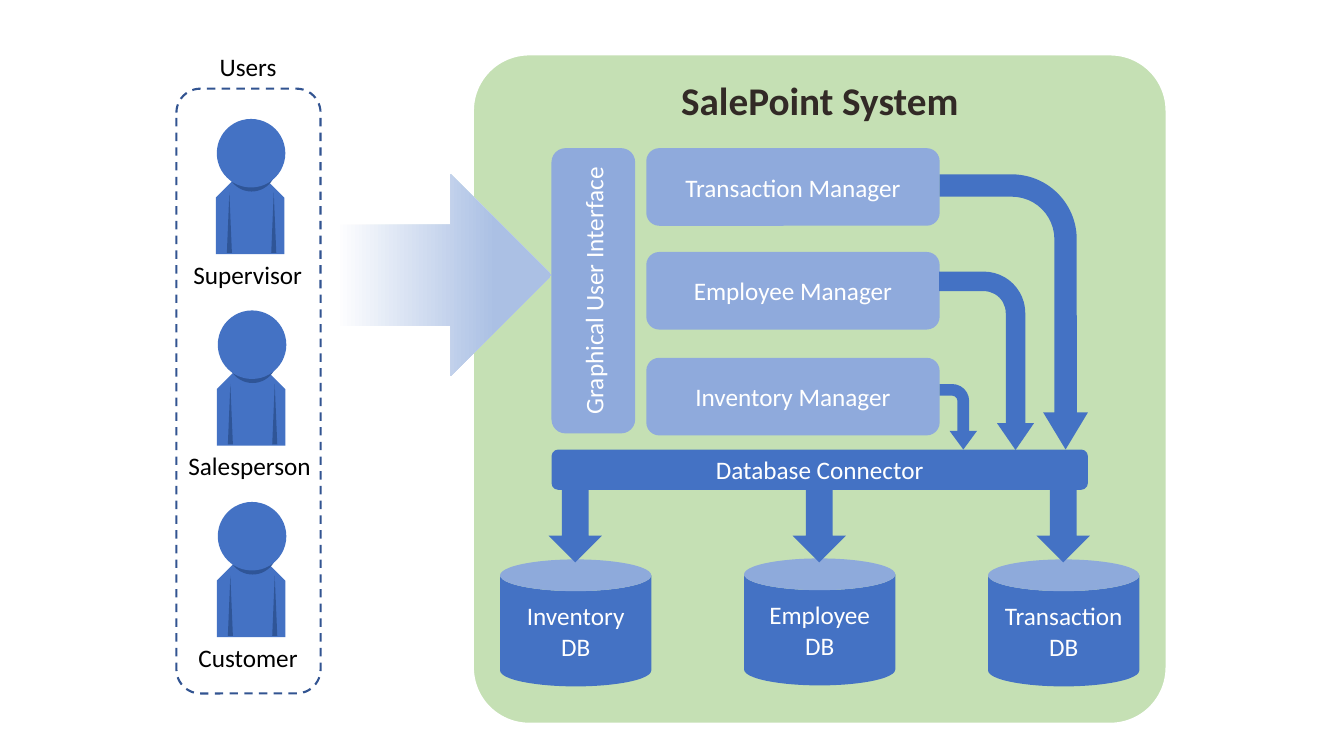
from pptx import Presentation
from pptx.dml.color import RGBColor
from pptx.enum.dml import MSO_LINE
from pptx.enum.shapes import MSO_SHAPE
from pptx.enum.text import MSO_ANCHOR, MSO_AUTO_SIZE, PP_ALIGN
from pptx.util import Pt

PX = 9144
COLORS = {
    "white": "FFFFFF", "black": "000000", "title": "322A26", "system": "C5E0B4",
    "blue": "4472C4", "dark": "2F5597", "light": "8FAADC", "dash": "325491", "pale": "ABC0E4",
}


def write(frame, lines, color, size=18, bold=False, align=PP_ALIGN.CENTER):
    for index, line in enumerate(lines):
        paragraph = frame.paragraphs[0] if index == 0 else frame.add_paragraph()
        paragraph.alignment = align
        run = paragraph.add_run()
        run.text = line
        run.font.name = "Calibri"
        run.font.size = Pt(size)
        run.font.bold = bold
        run.font.color.rgb = RGBColor.from_string(COLORS[color])


def draw(parent, kind, box, fill=None, rotation=0, adjustments=(), lines=()):
    shape = parent.shapes.add_shape(kind, *[value * PX for value in box])
    shape.shadow.inherit = False
    shape.line.fill.background()
    shape.rotation = rotation
    for index, value in enumerate(adjustments):
        shape.adjustments[index] = value
    if fill:
        shape.fill.solid()
        shape.fill.fore_color.rgb = RGBColor.from_string(COLORS[fill])
    else:
        shape.fill.background()
    shape.text_frame.vertical_anchor = MSO_ANCHOR.MIDDLE
    write(shape.text_frame, lines, "white")
    return shape


deck = Presentation()
deck.slide_width = 1333 * PX
deck.slide_height = 750 * PX
slide = deck.slides.add_slide(deck.slide_layouts[6])

system = draw(slide, MSO_SHAPE.ROUNDED_RECTANGLE, (469, 54, 688, 664), "system", 0, [0.084])
system.line.color.rgb = RGBColor.from_string(COLORS["white"])
system.line.width = Pt(1.5)
system.text_frame.vertical_anchor = MSO_ANCHOR.TOP
write(system.text_frame, ["SalePoint System"], "title", 28, True)

databases = [("Inventory", 555), ("Employee", 554), ("Transaction", 555)]
for index, (database, top) in enumerate(databases):
    draw(slide, MSO_SHAPE.CAN, (496 + 242 * index, top, 150, 126), "blue", lines=[database, "DB"])

for left, top in [(215, 118), (216, 308), (216, 498)]:
    person = slide.shapes.add_group_shape()
    draw(person, MSO_SHAPE.PENTAGON, (left - 12, top + 55, 90, 68), "blue", 270)
    draw(person, MSO_SHAPE.OVAL, (left + 10, top + 23, 49, 49), "dark")
    draw(person, MSO_SHAPE.OVAL, (left, top, 68, 68), "blue")
    for arm in (10, 54):
        draw(person, MSO_SHAPE.ISOSCELES_TRIANGLE, (left + arm, top + 73, 5, 60), "dark")

users = draw(slide, MSO_SHAPE.ROUNDED_RECTANGLE, (175, 88, 143, 600))
users.line.color.rgb = RGBColor.from_string(COLORS["dash"])
users.line.width = Pt(1.5)
users.line.dash_style = MSO_LINE.DASH

for role, left, top, width in [
    ("Users", 208, 46, 77),
    ("Supervisor", 182, 252, 129),
    ("Salesperson", 177, 442, 143),
    ("Customer", 187, 632, 120),
]:
    label = slide.shapes.add_textbox(left * PX, top * PX, width * PX, 40 * PX).text_frame
    label.word_wrap = False
    label.auto_size = MSO_AUTO_SIZE.SHAPE_TO_FIT_TEXT
    write(label, [role], "black", align=PP_ALIGN.LEFT)

interface = draw(slide, MSO_SHAPE.ROUNDED_RECTANGLE, (547, 147, 83, 283), "light",
                 lines=["Graphical User Interface"])
interface.text_frame._txBody.bodyPr.set("vert", "vert270")

for manager, top in [("Transaction", 147), ("Employee", 250), ("Inventory", 355)]:
    draw(slide, MSO_SHAPE.ROUNDED_RECTANGLE, (641, top, 291, 77), "light",
         lines=[f"{manager} Manager"])

access = draw(slide, MSO_SHAPE.DOWN_ARROW, (340, 166, 200, 214), rotation=270)
access.fill.gradient()
access.fill.gradient_angle = 270
for stop, position, color in zip(access.fill.gradient_stops, (0, 0.74), ("white", "pale")):
    stop.position = position
    stop.color.rgb = RGBColor.from_string(COLORS[color])

for box, bend in [
    ((869, 236, 273, 147), (0.151, 0.151, 0.25, 0.438)),
    ((890, 311, 177, 94), (0.206, 0.195, 0.283, 0.438)),
    ((918, 395, 65, 37), (0.313, 0.368, 0.5, 0.453)),
]:
    draw(slide, MSO_SHAPE.BENT_ARROW, box, "blue", 90, bend)

for index in range(len(databases)):
    draw(slide, MSO_SHAPE.RIGHT_ARROW, (517 + 242 * index, 478, 107, 53), "blue", 90)

draw(slide, MSO_SHAPE.ROUNDED_RECTANGLE, (547, 446, 532, 40), "blue", lines=["Database Connector"])

deck.save("out.pptx")
